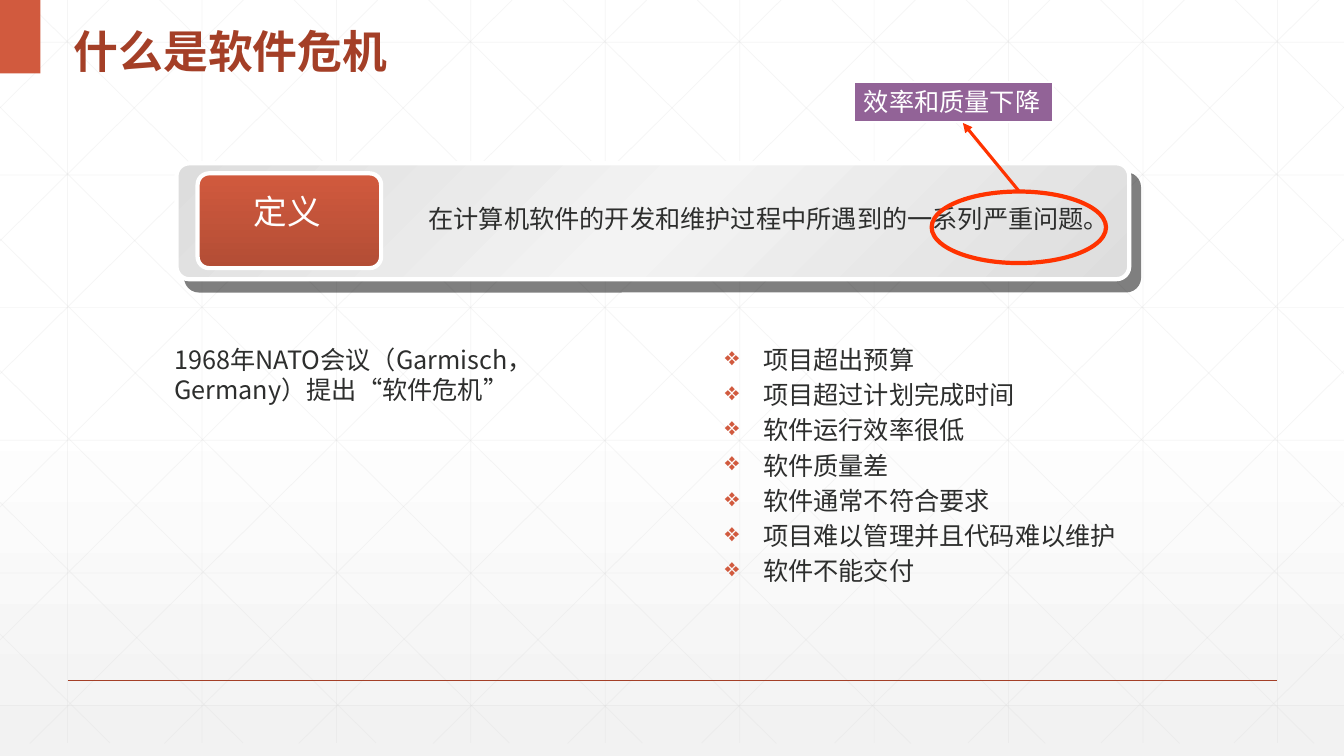
"""Build the slide that defines the software crisis."""
import dataclasses
import typing

import lxml.etree
import pptx
import pptx.dml.color
import pptx.enum.shapes
import pptx.enum.text
import pptx.oxml.ns
import pptx.util

Inches = pptx.util.Inches
Pt = pptx.util.Pt
qn = pptx.oxml.ns.qn
Form = pptx.enum.shapes.MSO_SHAPE
Align = pptx.enum.text.PP_ALIGN
Stops = tuple[tuple[int, str, int], ...]
Point = tuple[float, float]


@dataclasses.dataclass(frozen=True)
class Theme:
    font: str = "Noto Sans CJK SC"
    note: str = "Arial"
    ink: str = "2D2E2D"
    white: str = "FFFFFF"
    grid: str = "D9D9D9"
    brand: str = "D15A3E"
    deep: str = "A43F27"
    alert: str = "FF3300"
    plum: str = "926397"
    head: float = 32
    label: float = 24
    body: float = 18
    page: Stops = ((0, "FFFFFF", 100), (53, "FFFFFF", 100), (100, "F2F2F2", 100))
    steel: Stops = ((0, "DDDDDD", 100), (50, "F3F3F3", 100), (100, "DDDDDD", 100))
    brick: Stops = ((0, "D15A3E", 100), (100, "B34D35", 100))
    gloss: Stops = ((0, "E7BDB9", 100), (50, "D15A3E", 0), (100, "E7BDB9", 100))


THEME = Theme()
WIDE, TALL, BASE = 13.33, 7.5, 7.37


@dataclasses.dataclass(frozen=True)
class Line:
    start: Point
    end: Point
    color: str = THEME.grid
    width: float = 0.5
    alpha: int = 100
    arrow: bool = False


@dataclasses.dataclass(frozen=True)
class Shape:
    form: Form
    box: tuple[float, float, float, float]
    fill: str | Stops | None = None
    angle: int = 0
    line: str | None = None
    width: float = 3
    round: float | None = None


@dataclasses.dataclass(frozen=True)
class Text:
    box: tuple[float, float, float, float]
    lines: tuple[str, ...]
    size: float = THEME.body
    color: str = THEME.ink
    font: str = THEME.font
    align: Align = Align.LEFT
    pitch: float = 21.5
    bold: bool = False
    wrap: bool = True
    mark: str = ""
    shade: bool = False


def add(parent: typing.Any, tag: str, **values: typing.Any) -> typing.Any:
    node = lxml.etree.SubElement(parent, qn(tag))
    for key, value in values.items():
        node.set(key, str(value))
    return node


def tint(parent: typing.Any, color: str, alpha: int = 100) -> None:
    node = add(parent, "a:srgbClr", val=color)
    if alpha < 100:
        add(node, "a:alpha", val=alpha * 1000)


def apply(target: typing.Any, values: dict[str, typing.Any]) -> None:
    for key, value in values.items():
        setattr(target, key, value)


def rgb(color: str) -> pptx.dml.color.RGBColor:
    return pptx.dml.color.RGBColor.from_string(color)


def blend(fill: typing.Any, owner: typing.Any, stops: Stops, angle: int) -> None:
    fill.gradient()
    fill.gradient_angle = (360 - angle) % 360
    group = next(owner.iter(qn("a:gsLst")))
    for old in list(group):
        group.remove(old)
    for place, color, alpha in stops:
        tint(add(group, "a:gs", pos=place * 1000), color, alpha)


def shadow(owner: typing.Any, gap: float, alpha: int) -> typing.Any:
    effect = lxml.etree.Element(qn("a:effectLst"))
    cast = add(effect, "a:outerShdw", blurRad=0, dist=Pt(gap), dir=49 * 60000, algn="tl", rotWithShape=0)
    tint(cast, "000000", alpha)
    for old in owner.findall(qn("a:effectLst")):
        owner.remove(old)
    return effect


def draw_line(slide: typing.Any, item: Line) -> None:
    ends = [Inches(value) for value in (*item.start, *item.end)]
    link = slide.shapes.add_connector(pptx.enum.shapes.MSO_CONNECTOR.STRAIGHT, *ends)
    link.line.width = Pt(item.width)
    link.line.color.rgb = rgb(item.color)
    props = link._element.spPr
    if item.alpha < 100:
        add(next(props.iter(qn("a:srgbClr"))), "a:alpha", val=item.alpha * 1000)
    if item.arrow:
        add(props.find(qn("a:ln")), "a:tailEnd", type="triangle")
    add(props, "a:effectLst")


def paint(shape: typing.Any, item: Shape) -> None:
    shape.shadow.inherit = False
    if item.fill is None:
        shape.fill.background()
    elif isinstance(item.fill, str):
        shape.fill.solid()
        shape.fill.fore_color.rgb = rgb(item.fill)
    else:
        blend(shape.fill, shape._element.spPr, item.fill, item.angle)
    if item.line:
        shape.line.color.rgb = rgb(item.line)
        shape.line.width = Pt(item.width)
    else:
        shape.line.fill.background()


def draw_shape(slide: typing.Any, item: Shape) -> typing.Any:
    shape = slide.shapes.add_shape(item.form, *map(Inches, item.box))
    if item.round is not None:
        shape.adjustments[0] = item.round
    paint(shape, item)
    return shape


def write(shape: typing.Any, item: Text) -> None:
    apply(shape, dict(zip(("left", "top", "width", "height"), map(Inches, item.box))))
    frame = shape.text_frame
    apply(frame, {"word_wrap": item.wrap, "auto_size": pptx.enum.text.MSO_AUTO_SIZE.NONE,
                  "vertical_anchor": pptx.enum.text.MSO_ANCHOR.TOP})
    for index, words in enumerate(item.lines):
        para = frame.add_paragraph() if index else frame.paragraphs[0]
        apply(para, {"alignment": item.align, "line_spacing": Pt(item.pitch)})
        if index:
            para.space_before = Pt(item.size * 0.2)
        if item.mark:
            props = para._p.get_or_add_pPr()
            apply_indent = {"marL": Inches(0.38), "indent": -Inches(0.38)}
            for key, value in apply_indent.items():
                props.set(key, str(value))
            tint(add(props, "a:buClr"), THEME.brand)
            add(props, "a:buChar", char=item.mark)
        run = para.add_run()
        run.text = words
        apply(run.font, {"size": Pt(item.size), "bold": item.bold, "name": item.font})
        run.font.color.rgb = rgb(item.color)
        props = run.font._element
        props.find(qn("a:latin")).addnext(lxml.etree.Element(qn("a:ea"), typeface=item.font))
        if item.shade:
            props.find(qn("a:solidFill")).addnext(shadow(props, 2, 100))


def draw_text(slide: typing.Any, item: Text) -> None:
    write(slide.shapes.add_textbox(*map(Inches, item.box)), item)


def grid() -> list[tuple[Point, Point]]:
    rows = [((0, 0.42 + 1.316 * k), (WIDE, 0.42 + 1.316 * k)) for k in range(6)]
    cols = [((0.67 + 4 / 3 * k, 0), (0.67 + 4 / 3 * k, BASE)) for k in range(10)]
    slants = []
    for k in range(10):
        left = 0.25 + 4 / 3 * k
        run = min(7.45, WIDE - left)
        slants.append(((left, 0), (left + run, run * 0.99)))
    for k in range(5):
        foot = 6.37 - 1.32 * k
        slants.append(((foot, BASE), (0, BASE - foot * 0.99)))
    flips = [((WIDE - a, b), (WIDE - c, d)) for (a, b), (c, d) in slants]
    return cols + rows + slants + flips


def curve(a: Point, b: Point, c: Point, d: Point) -> list[Point]:
    def mix(t: float, i: int) -> float:
        s = 1 - t
        return s**3 * a[i] + 3 * s * s * t * b[i] + 3 * s * t * t * c[i] + t**3 * d[i]
    return [(mix(k / 12, 0), mix(k / 12, 1)) for k in range(13)]


def draw_gloss(slide: typing.Any) -> None:
    dots = [*curve((2.25, 1.79), (2.15, 1.79), (2.07, 1.83), (2.07, 1.88)),
            *curve((2.07, 2.25), (2.11, 2.25), (2.09, 2.03), (2.32, 1.92)),
            *curve((2.32, 1.92), (2.54, 1.82), (2.98, 1.81), (2.97, 1.79))]
    pen = slide.shapes.build_freeform(*dots[0], scale=Inches(1))
    pen.add_line_segments(dots[1:], close=True)
    paint(pen.convert_to_shape(), Shape(Form.RECTANGLE, (0, 0, 0, 0), THEME.gloss, 45))


def main() -> None:
    deck = pptx.Presentation()
    apply(deck, {"slide_width": Inches(WIDE), "slide_height": Inches(TALL)})
    slide = deck.slides.add_slide(deck.slide_layouts[5])
    blend(slide.background.fill, slide._element, THEME.page, 90)
    for start, end in grid():
        draw_line(slide, Line(start, end, alpha=25))
    draw_line(slide, Line((0.67, 6.75), (12.67, 6.75), THEME.deep, 1))
    draw_shape(slide, Shape(Form.RECTANGLE, (0, 0, 0.4, 0.73), THEME.brand))
    panel = draw_shape(slide, Shape(Form.ROUNDED_RECTANGLE, (1.75, 1.62, 9.45, 1.15),
                                    THEME.steel, 45, THEME.white, round=0.11))
    props = panel._element.spPr
    props.append(shadow(props, 10.6, 50))
    draw_shape(slide, Shape(Form.ROUNDED_RECTANGLE, (1.96, 1.72, 1.82, 0.94),
                            THEME.brick, 90, THEME.white, round=0.12))
    draw_gloss(slide)
    draw_text(slide, Text((2.06, 1.85, 1.58, 0.63), ("定义",), THEME.label, THEME.white,
                          align=Align.CENTER, pitch=28.5, shade=True))
    draw_text(slide, Text((4.15, 1.97, 6.95, 0.5), ("在计算机软件的开发和维护过程中所遇到的一系列严重问题。",),
                          align=Align.CENTER, wrap=False))
    title = slide.shapes.title
    slide.shapes._spTree.append(title._element)
    write(title, Text((0.63, 0, 5.69, 0.73), ("什么是软件危机",), THEME.head, THEME.deep,
                      pitch=52, bold=True))
    draw_shape(slide, Shape(Form.OVAL, (9.24, 1.9, 1.73, 0.71), line=THEME.alert))
    draw_line(slide, Line((10.11, 1.9), (9.55, 1.22), THEME.alert, 2.25, arrow=True))
    draw_text(slide, Text((7.09, 3.37, 5.4, 3.01), (
        "项目超出预算", "项目超过计划完成时间", "软件运行效率很低", "软件质量差",
        "软件通常不符合要求", "项目难以管理并且代码难以维护", "软件不能交付"), mark="❖"))
    draw_text(slide, Text((1.63, 3.37, 4.02, 1.68),
                          ("1968年NATO会议（Garmisch，Germany）提出“软件危机”",)))
    callout = (8.47, 0.81, 1.97, 0.4)
    note = draw_shape(slide, Shape(Form.RECTANGLE, callout, THEME.plum, line=THEME.white, width=1.5))
    write(note, Text(callout, ("效率和质量下降",), color=THEME.white, font=THEME.note))
    deck.save("out.pptx")


if __name__ == "__main__":
    main()
